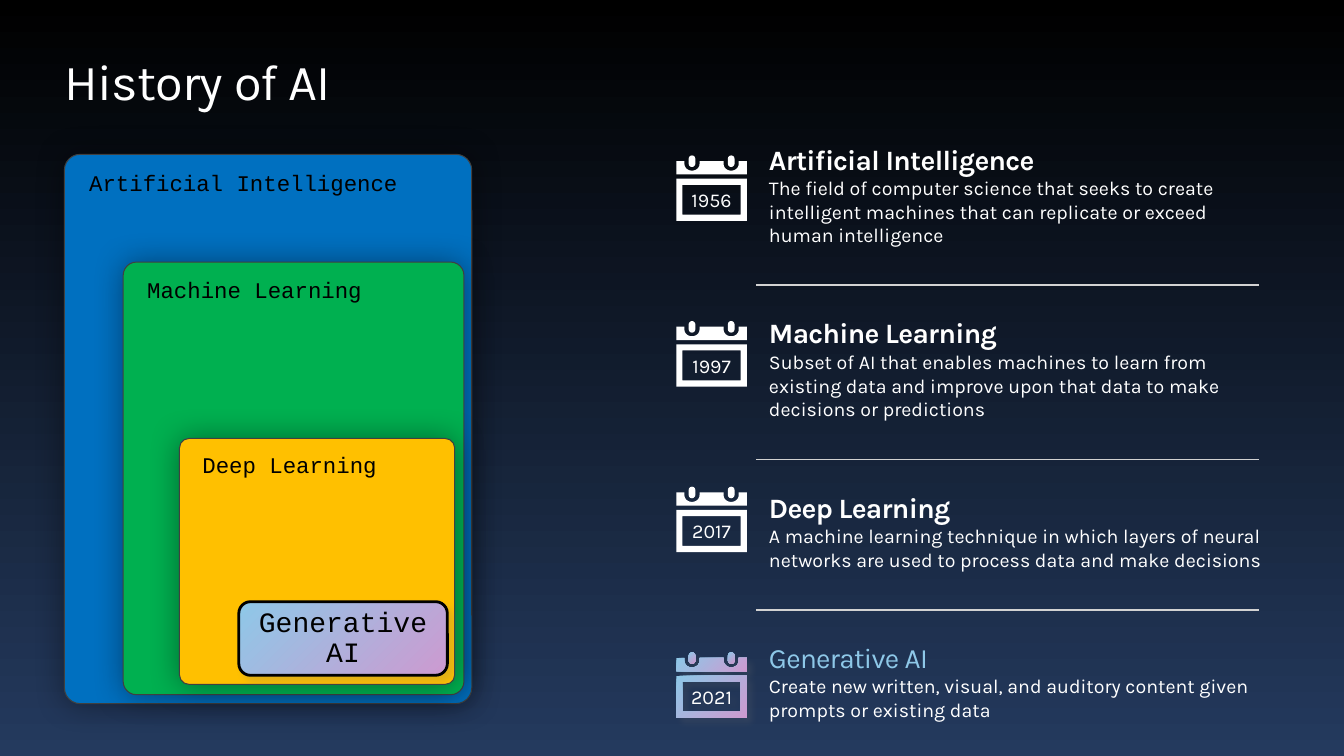
import math

from lxml import etree
from pptx import Presentation
from pptx.dml.color import RGBColor
from pptx.enum.shapes import MSO_CONNECTOR, MSO_SHAPE
from pptx.enum.text import MSO_ANCHOR, PP_ALIGN
from pptx.oxml.ns import qn
from pptx.util import Pt

ROUNDED = MSO_SHAPE.ROUNDED_RECTANGLE
STRAIGHT = MSO_CONNECTOR.STRAIGHT
TOP, MIDDLE = MSO_ANCHOR.TOP, MSO_ANCHOR.MIDDLE
LEFT, CENTER = PP_ALIGN.LEFT, PP_ALIGN.CENTER

BLACK = RGBColor(0x00, 0x00, 0x00)
WHITE = RGBColor(0xFF, 0xFF, 0xFF)
NAVY = RGBColor(0x24, 0x3A, 0x5E)
BLUE = RGBColor(0x00, 0x70, 0xC0)
GREEN = RGBColor(0x00, 0xB0, 0x50)
AMBER = RGBColor(0xFF, 0xC0, 0x00)
OUTLINE = RGBColor(0x40, 0x40, 0x40)
DIVIDER = RGBColor(0xD2, 0xD2, 0xD2)
SKY = RGBColor(0x8E, 0xC8, 0xE8)
ORCHID = RGBColor(0xCD, 0x9A, 0xD0)
SKY_TO_ORCHID = (SKY, ORCHID, 315)

GLOW = {"color": "000000", "alpha": 40, "blur": 23, "distance": 0, "angle": 0}
SOFT = {"color": "737373", "alpha": 20, "blur": 5, "distance": 5, "angle": 45}

KARLA = "Karla"
COURIER = "Courier New"

NESTED = [
    ("Artificial Intelligence", BLUE, (46, 110.2, 291, 392.4)),
    ("Machine Learning", GREEN, (88, 187.2, 243.4, 309)),
    ("Deep Learning", AMBER, (128.2, 313.2, 196.6, 175.7)),
]

MILESTONES = [
    ("1956", "Artificial Intelligence", 100.8,
     "The field of computer science that seeks to create intelligent "
     "machines that can replicate or exceed human intelligence"),
    ("1997", "Machine Learning", 224.8,
     "Subset of AI that enables machines to learn from existing data "
     "and improve upon that data to make decisions or predictions"),
    ("2017", "Deep Learning", 349.2,
     "A machine learning technique in which layers of neural networks "
     "are used to process data and make decisions"),
    ("2021", "Generative AI", 456.5,
     "Create new written, visual, and auditory content given prompts "
     "or existing data"),
]
DIVIDERS = [203.7, 328.3, 435.6]

CALENDAR_LEFT, CALENDAR_TOP, CALENDAR_PITCH = 483.1, 111, 118.3
CALENDAR_WIDTH = 50.4
RING_CENTERS = (39.2, 11.2)


def paint(fill, color):
    if isinstance(color, RGBColor):
        fill.solid()
        fill.fore_color.rgb = color
        return
    start, end, angle = color
    fill.gradient()
    fill.gradient_angle = angle
    for stop, shade in zip(fill.gradient_stops, (start, end)):
        stop.color.rgb = shade


def cast_shadow(shape, color, alpha, blur, distance, angle):
    effects = shape._element.spPr.find(qn("a:effectLst"))
    outer = etree.SubElement(
        effects, qn("a:outerShdw"), blurRad=str(Pt(blur)),
        dist=str(Pt(distance)), dir=str(angle * 60000),
        algn="ctr", rotWithShape="0")
    tint = etree.SubElement(outer, qn("a:srgbClr"), val=color)
    etree.SubElement(tint, qn("a:alpha"), val=str(alpha * 1000))


def style(shape, color, shadow=None, line=None, line_width=0):
    shape.shadow.inherit = False
    paint(shape.fill, color)
    if line is None:
        shape.line.fill.background()
    else:
        shape.line.color.rgb = line
        shape.line.width = Pt(line_width)
    if shadow:
        cast_shadow(shape, **shadow)


def set_frame(shape, insets, anchor=TOP):
    frame = shape.text_frame
    frame.word_wrap = True
    frame.vertical_anchor = anchor
    (frame.margin_left, frame.margin_top,
     frame.margin_right, frame.margin_bottom) = map(Pt, insets)
    return frame


def write(paragraph, text, *, size, font=KARLA, color=WHITE, bold=False,
          align=LEFT, spacing=1.0, after=0, tracking=0):
    paragraph.alignment = align
    paragraph.line_spacing = spacing
    paragraph.space_after = Pt(after)
    run = paragraph.add_run()
    run.text = text
    run.font.name = font
    run.font.size = Pt(size)
    run.font.bold = bold
    paint(run.font.fill, color)
    if tracking:
        run._r.get_or_add_rPr().set("spc", str(round(tracking * 100)))


def add_text_area(slide, bounds, insets):
    return set_frame(slide.shapes.add_textbox(*map(Pt, bounds)), insets)


def add_panel(slide, bounds, corner, color, shadow, line, line_width):
    panel = slide.shapes.add_shape(ROUNDED, *map(Pt, bounds))
    panel.adjustments[0] = corner
    style(panel, color, shadow, line, line_width)
    return panel


def add_outline(shapes, contours, left, top):
    placed = [[(Pt(left + x), Pt(top + y)) for x, y in contour]
              for contour in contours]
    builder = shapes.build_freeform(*placed[0][0], scale=1.0)
    builder.add_line_segments(placed[0][1:], close=True)
    for contour in placed[1:]:
        builder.move_to(*contour[0])
        builder.add_line_segments(contour[1:], close=True)
    return builder.convert_to_shape()


def notch(center):
    curve = [(center + 5.4 * math.cos(math.pi * step / 12),
              6.2 + 4.7 * math.sin(math.pi * step / 12)) for step in range(13)]
    return [(center + 5.4, 4)] + curve + [(center - 5.4, 4)]


def add_calendar(slide, year, top, color, shadow):
    shapes = slide.shapes.add_group_shape().shapes
    right = CALENDAR_WIDTH
    header = [(0, 4), (0, 13.6), (right, 13.6), (right, 4)]
    for center in RING_CENTERS:
        header += notch(center)
        ring = shapes.add_shape(
            ROUNDED, Pt(CALENDAR_LEFT + center - 2.4), Pt(top), Pt(4.8), Pt(8.3))
        ring.adjustments[0] = 0.5
        style(ring, color, shadow)
    style(add_outline(shapes, [header], CALENDAR_LEFT, top), color, shadow)

    outer = [(0, 16.6), (0, 46.8), (right, 46.8), (right, 16.6)]
    inner = [(4.4, 21), (right - 4.4, 21), (right - 4.4, 42.4), (4.4, 42.4)]
    page = add_outline(shapes, [outer, inner], CALENDAR_LEFT, top)
    style(page, color, shadow)
    frame = set_frame(page, (0, 0, 0, 0), MIDDLE)
    write(frame.paragraphs[0], year, size=14, align=CENTER)


def add_description(slide, heading, body, top, color, bold):
    frame = add_text_area(slide, (542.2, top, 371.5, 64), (7.2, 3.6, 7.2, 3.6))
    write(frame.paragraphs[0], heading, size=20, color=color, bold=bold,
          spacing=0.9, tracking=-0.5)
    write(frame.add_paragraph(), body, size=14, after=6)


def add_divider(slide, y):
    divider = slide.shapes.add_connector(STRAIGHT, Pt(540), Pt(y), Pt(899.3), Pt(y))
    divider.line.color.rgb = DIVIDER
    divider.line.width = Pt(1)
    etree.SubElement(divider._element.spPr, qn("a:effectLst"))


def main():
    deck = Presentation()
    deck.slide_width, deck.slide_height = Pt(960), Pt(540)
    slide = deck.slides.add_slide(deck.slide_layouts[6])
    paint(slide.background.fill, (BLACK, NAVY, 270))

    title = add_text_area(slide, (46, 36, 867.6, 44), (0, 0, 0, 0))
    write(title.paragraphs[0], "History of AI", size=36, tracking=-0.5)

    for label, color, bounds in NESTED:
        panel = add_panel(slide, bounds, 0.039, color, GLOW, OUTLINE, 0.75)
        frame = set_frame(panel, (14.4, 7.2, 14.4, 11.5))
        write(frame.paragraphs[0], label, size=16, font=COURIER, color=BLACK, after=6)

    core = add_panel(slide, (170.6, 429.8, 149, 52.6), 0.159,
                     SKY_TO_ORCHID, SOFT, BLACK, 2)
    frame = set_frame(core, (7.2, 7.2, 7.2, 7.2), MIDDLE)
    write(frame.paragraphs[0], "Generative AI", size=20, font=COURIER,
          color=BLACK, align=CENTER, spacing=0.9)

    for index, (year, heading, top, body) in enumerate(MILESTONES):
        latest = index == len(MILESTONES) - 1
        color = SKY_TO_ORCHID if latest else WHITE
        add_calendar(slide, year, CALENDAR_TOP + index * CALENDAR_PITCH,
                     color, SOFT if latest else None)
        add_description(slide, heading, body, top, color, not latest)

    for y in DIVIDERS:
        add_divider(slide, y)

    deck.save("out.pptx")


if __name__ == "__main__":
    main()
